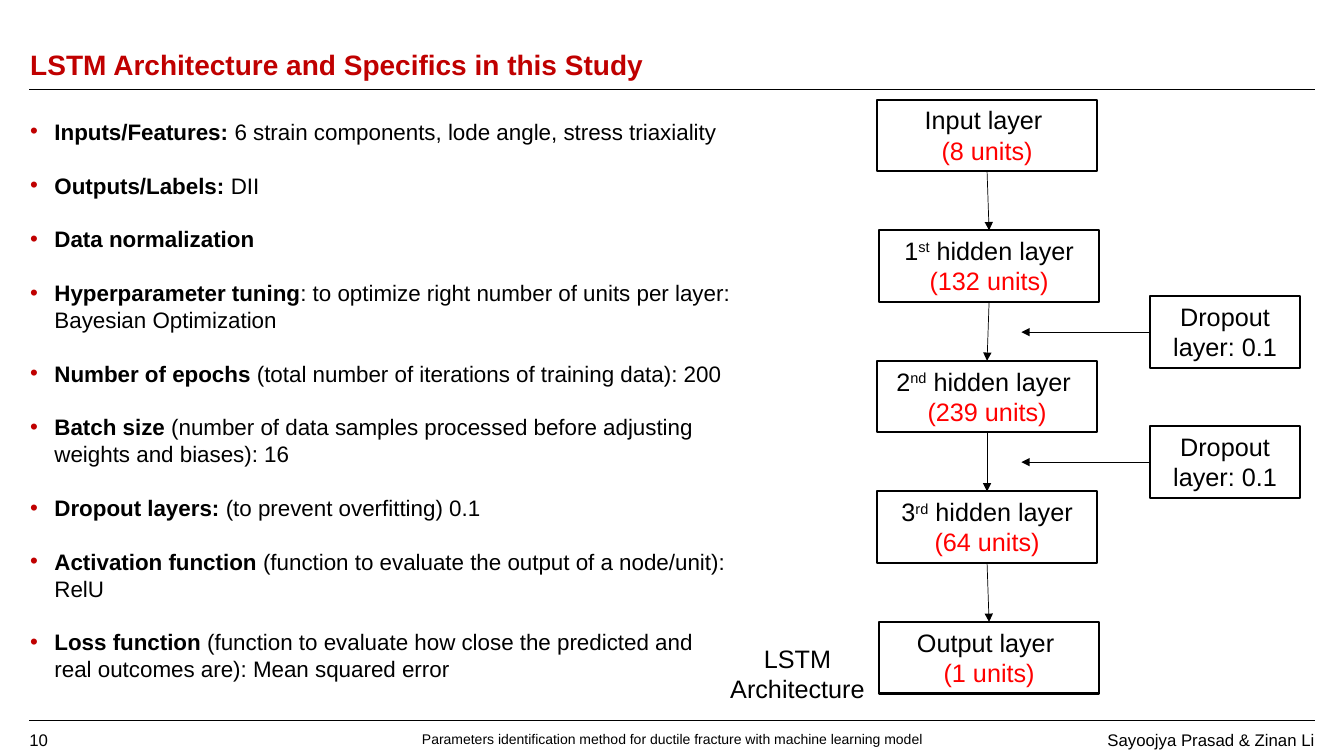
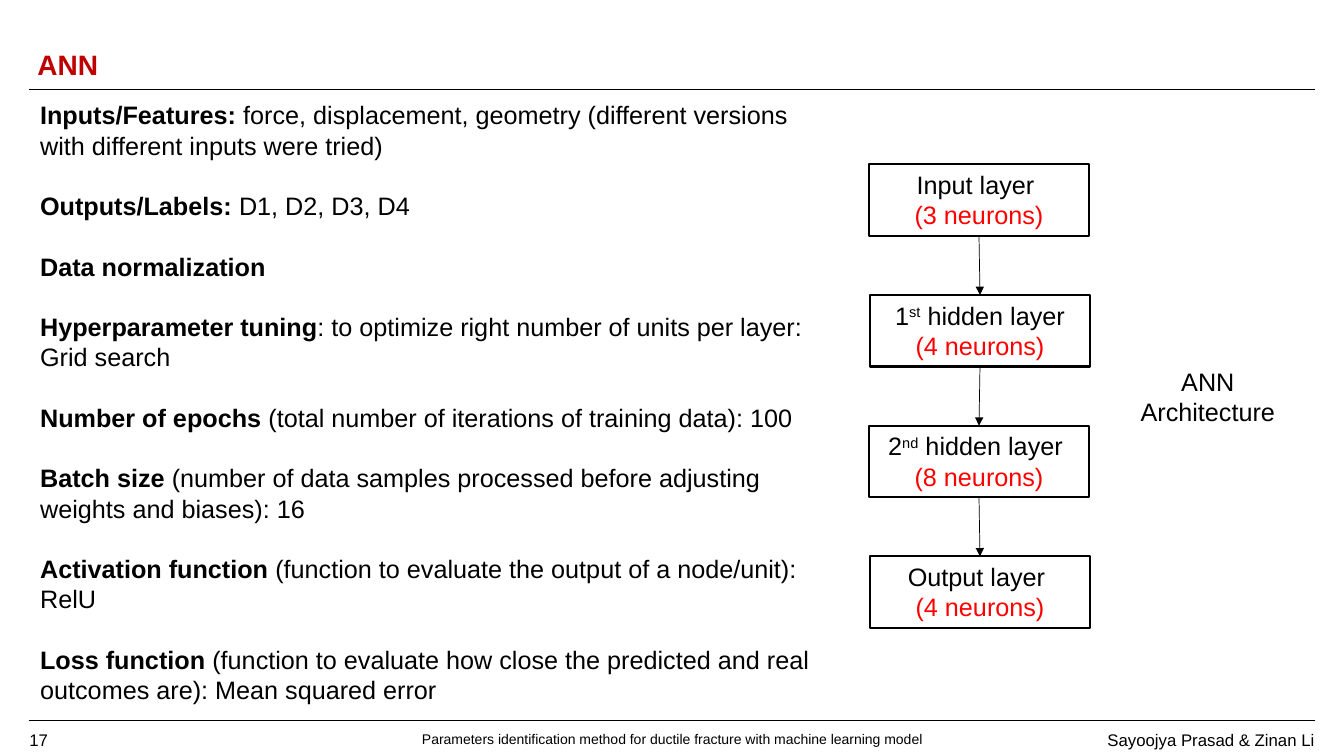
from dataclasses import dataclass
from itertools import pairwise

from lxml.etree import SubElement
from pptx import Presentation
from pptx.dml.color import RGBColor
from pptx.enum.shapes import MSO_CONNECTOR as Connector, MSO_SHAPE as Preset
from pptx.enum.text import MSO_ANCHOR as Anchor, PP_ALIGN as Align
from pptx.oxml.ns import qn
from pptx.util import Inches, Pt

TOP, LEFT, BOTTOM = 0, 1, 2  # connection sites of a rectangle


@dataclass(frozen=True)
class Theme:
    font: str = "Arial"
    ink: str = "000000"
    accent: str = "C00000"
    units: str = "FF0000"
    title_size: int = 20
    label_size: int = 18
    list_size: int = 16
    footer_size: int = 12
    caption_size: int = 10
    rule_width: float = 0.5
    box_width: float = 1.5


THEME = Theme()
CAPTION = "Parameters identification method for ductile fracture with machine learning model"
AUTHORS = "Sayoojya Prasad & Zinan Li"
LAYER_SIZE = (2.18, 0.71)
DROPOUT_SIZE = (1.48, 0.71)

# Facts are (bold lead, plain rest); these occur in both lists
NORMALIZATION = ("Data normalization", "")
BATCH = ("Batch size ", "(number of data samples processed before adjusting weights and biases): 16")
ACTIVATION = ("Activation function ", "(function to evaluate the output of a node/unit): RelU")
LOSS = ("Loss function ",
        "(function to evaluate how close the predicted and real outcomes are): Mean squared error")


def tuning(method):
    return ("Hyperparameter tuning", f": to optimize right number of units per layer: {method}")


def epochs(count):
    return ("Number of epochs ", f"(total number of iterations of training data): {count}")


LSTM_FACTS = [
    ("Inputs/Features: ", "6 strain components, lode angle, stress triaxiality"),
    ("Outputs/Labels: ", "DII"),
    NORMALIZATION, tuning("Bayesian Optimization"), epochs(200), BATCH,
    ("Dropout layers: ", "(to prevent overfitting) 0.1"),
    ACTIVATION, LOSS,
]
ANN_FACTS = [
    ("Inputs/Features: ",
     "force, displacement, geometry (different versions with different inputs were tried)"),
    ("Outputs/Labels: ", "D1, D2, D3, D4"),
    NORMALIZATION, tuning("Grid search"), epochs(100), BATCH, ACTIVATION, LOSS,
]

# Layers are (left, name, superscript, rest of name, units)
LSTM_LAYERS = [
    (8.7, "Input layer ", "", "", "(8 units)"),
    (8.72, "1", "st", " hidden layer", "(132 units)"),
    (8.7, "2", "nd", " hidden layer ", "(239 units)"),
    (8.7, "3", "rd", " hidden layer", "(64 units)"),
    (8.72, "Output layer ", "", "", "(1 units)"),
]
ANN_LAYERS = [
    (8.62, "Input layer ", "", "", "(3 neurons)"),
    (8.63, "1", "st", " hidden layer", "(4 neurons)"),
    (8.62, "2", "nd", " hidden layer ", "(8 neurons)"),
    (8.63, "Output layer ", "", "", "(4 neurons)"),
]


def color(value):
    return RGBColor.from_string(value)


def apply(target, formats):
    for name, value in formats.items():
        setattr(target, name, value)


class Deck:
    def __init__(self, theme):
        self.theme = theme
        self.presentation = Presentation()
        apply(self.presentation, {"slide_width": Inches(13.33), "slide_height": Inches(7.5)})
        self.slide = None

    # Text
    def fill_text(self, shape, paragraphs, size, inset=True, anchor=Anchor.TOP, **formats):
        """Each paragraph is a list of (text, run formats)."""
        frame = shape.text_frame
        apply(frame, {"word_wrap": True, "vertical_anchor": anchor})
        if not inset:
            apply(frame, dict.fromkeys(
                ("margin_left", "margin_top", "margin_right", "margin_bottom"), 0))
        for index, runs in enumerate(paragraphs):
            paragraph = frame.add_paragraph() if index else frame.paragraphs[0]
            apply(paragraph, formats)
            for text, style in runs:
                if text:
                    self.add_run(paragraph, text, size, **style)
        return frame

    def add_run(self, paragraph, text, size, ink=None, bold=False, superscript=False):
        run = paragraph.add_run()
        run.text = text
        apply(run.font, {"name": self.theme.font, "size": Pt(size), "bold": bold})
        run.font.color.rgb = color(ink or self.theme.ink)
        if superscript:
            run.font._element.set("baseline", "30000")

    def text(self, bounds, paragraphs, size, **options):
        shape = self.slide.shapes.add_textbox(*map(Inches, bounds))
        return self.fill_text(shape, paragraphs, size, **options)

    def facts(self, bounds, facts, size, bullets=False):
        rows = [[(lead, {"bold": True}), (rest, {})] for lead, rest in facts]
        frame = self.text(bounds, rows, size, inset=not bullets)
        for index, paragraph in enumerate(frame.paragraphs):
            if bullets:
                self.add_bullet(paragraph)
            if index:
                paragraph.space_before = Pt(size * 1.2)  # one empty line

    def add_bullet(self, paragraph):
        properties = paragraph._p.get_or_add_pPr()
        indent = Inches(0.24)
        properties.set("marL", str(indent))
        properties.set("indent", str(-indent))
        tint = SubElement(properties, qn("a:buClr"))
        SubElement(tint, qn("a:srgbClr"), val=self.theme.accent)
        SubElement(properties, qn("a:buFont"), typeface=self.theme.font)
        SubElement(properties, qn("a:buChar"), char="•")

    def caption(self, left, top, name):
        self.text((left, top, 1.6, 0.71), [[(name, {})], [("Architecture", {})]],
                  self.theme.label_size, alignment=Align.CENTER)

    # Boxes and lines
    def box(self, left, top, size, paragraphs):
        shape = self.slide.shapes.add_shape(
            Preset.RECTANGLE, *map(Inches, (left, top, *size)))
        shape.shadow.inherit = False
        shape.fill.background()
        shape.line.color.rgb = color(self.theme.ink)
        shape.line.width = Pt(self.theme.box_width)
        self.fill_text(shape, paragraphs, self.theme.label_size, alignment=Align.CENTER)
        return shape

    def line(self, start=(0, 0), end=(0, 0), arrow=False):
        connector = self.slide.shapes.add_connector(
            Connector.STRAIGHT, *map(Inches, (*start, *end)))
        connector.line.color.rgb = color(self.theme.ink)
        connector.line.width = Pt(self.theme.rule_width)
        if arrow:
            SubElement(connector.line._get_or_add_ln(), qn("a:tailEnd"), type="triangle")
        SubElement(connector._element.spPr, qn("a:effectLst"))
        return connector

    def layer_chain(self, layers, first_top, last_top):
        pitch = (last_top - first_top) / (len(layers) - 1)
        boxes = [
            self.box(left, first_top + index * pitch, LAYER_SIZE, [
                [(name, {}), (ordinal, {"superscript": True}), (rest, {})],
                [(units, {"ink": self.theme.units})],
            ])
            for index, (left, name, ordinal, rest, units) in enumerate(layers)
        ]
        for upper, lower in pairwise(boxes):
            arrow = self.line(arrow=True)
            arrow.begin_connect(upper, BOTTOM)
            arrow.end_connect(lower, TOP)

    def dropout(self, top):
        box = self.box(11.41, top, DROPOUT_SIZE, [[("Dropout layer: 0.1", {})]])
        middle = top + DROPOUT_SIZE[1] / 2
        arrow = self.line((11.41, middle), (10.13, middle), arrow=True)
        arrow.begin_connect(box, LEFT)

    # Shared frame: title, rules and footer
    def new_slide(self, title, number, title_left=0.3):
        theme = self.theme
        self.slide = self.presentation.slides.add_slide(self.presentation.slide_layouts[6])
        for height in (0.89, 7.15):
            self.line((0.29, height), (13.04, height))
        self.text((0.29, 7.24, 0.92, 0.28), [[(str(number), {})]],
                  theme.footer_size, inset=False)
        for bounds, label, size, alignment in (
            ((0.42, 7.18, 12.49, 0.31), CAPTION, theme.caption_size, Align.CENTER),
            ((10.91, 7.18, 2.13, 0.31), AUTHORS, theme.footer_size, Align.RIGHT),
        ):
            self.text(bounds, [[(label, {})]], size, inset=False,
                      anchor=Anchor.MIDDLE, alignment=alignment)
        self.text((title_left, 0.22, 9.99, 0.59),
                  [[(title, {"ink": theme.accent, "bold": True})]], theme.title_size,
                  inset=False, anchor=Anchor.BOTTOM, line_spacing=0.9)


def main():
    deck = Deck(THEME)

    # LSTM
    deck.new_slide("LSTM Architecture and Specifics in this Study", 10)
    deck.facts((0.3, 1.17, 6.99, 5.97), LSTM_FACTS, THEME.list_size, bullets=True)
    deck.layer_chain(LSTM_LAYERS, 0.99, 6.17)
    deck.caption(7.11, 6.33, "LSTM")
    for top in (2.94, 4.23):
        deck.dropout(top)

    # ANN
    deck.new_slide("ANN", 17, title_left=0.37)
    deck.facts((0.3, 0.94, 7.84, 6.16), ANN_FACTS, THEME.label_size)
    deck.layer_chain(ANN_LAYERS, 1.63, 5.52)
    deck.caption(11.18, 3.58, "ANN")

    deck.presentation.save("out.pptx")


if __name__ == "__main__":
    main()
